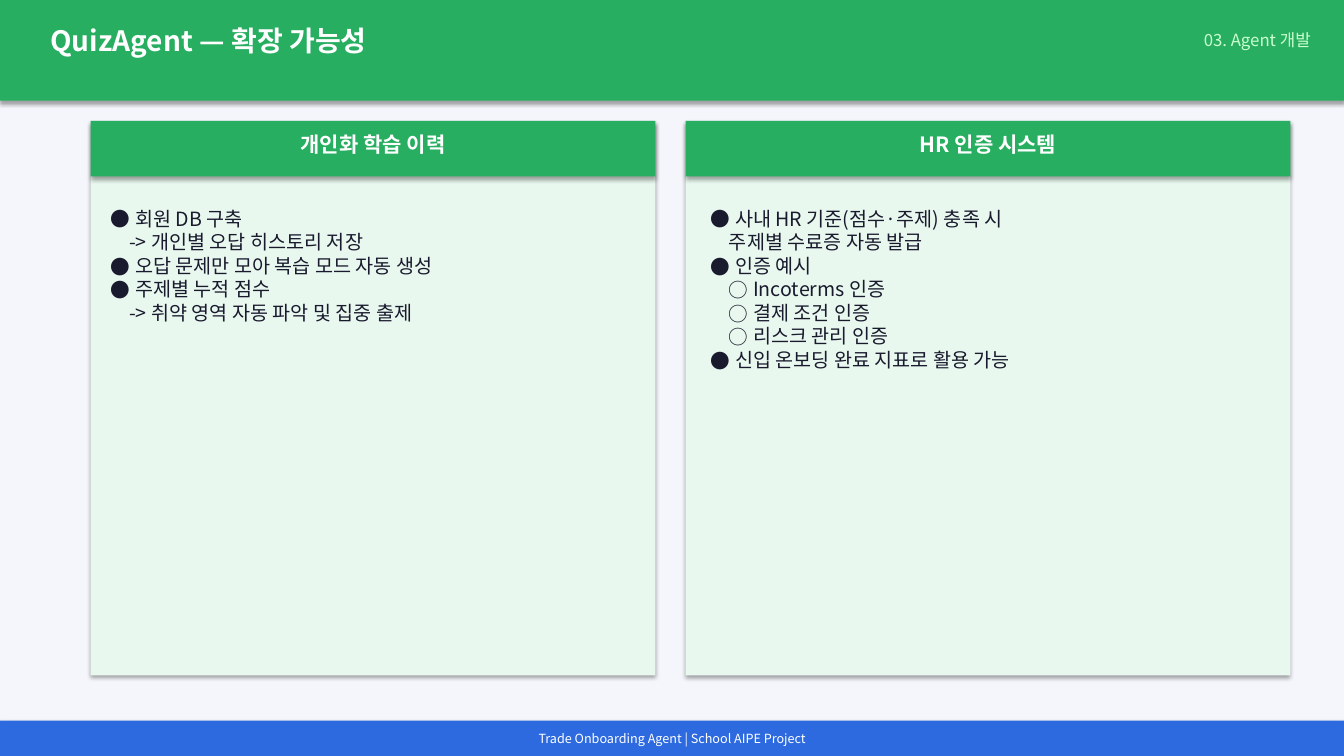
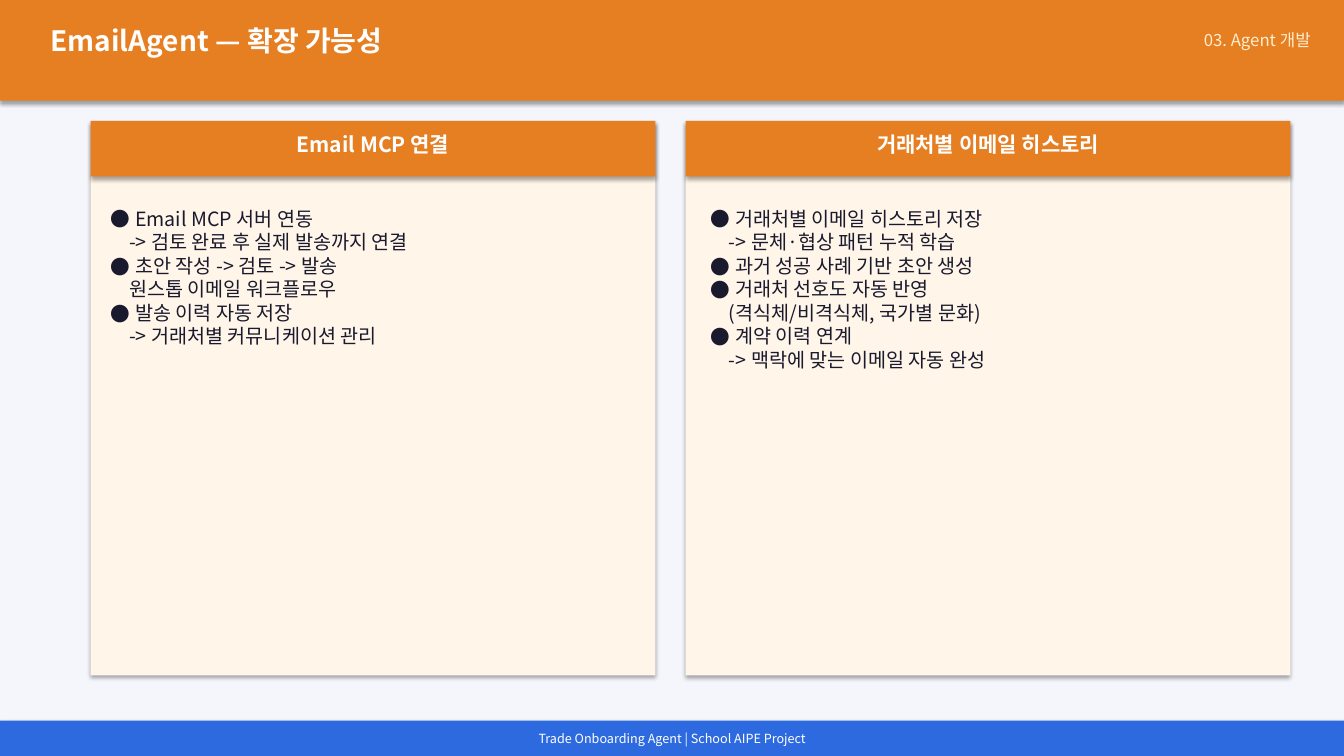
"""Build the two agent extension slides."""
import dataclasses
import typing

import pptx
import pptx.dml.color
import pptx.enum.shapes
import pptx.enum.text
import pptx.oxml.ns
import pptx.util
from lxml import etree

Inches = pptx.util.Inches
Align = pptx.enum.text.PP_ALIGN
WIDTH, HEIGHT = 13.33, 7.5


@dataclasses.dataclass(frozen=True)
class Theme:
    font: str = "Noto Sans CJK KR"
    background: str = "F4F6FB"
    footer: str = "2D6AE0"
    ink: str = "1A1A2E"
    white: str = "FFFFFF"
    title_size: int = 20
    header_size: int = 15
    body_size: int = 14
    section_size: int = 12
    footer_size: int = 9


@dataclasses.dataclass(frozen=True)
class Palette:
    accent: str
    card: str
    section: str


class Box(typing.NamedTuple):
    left: float
    top: float
    width: float
    height: float


class Marker(typing.NamedTuple):
    char: str
    margin: float
    hang: float
    level: int


class Column(typing.NamedTuple):
    left: float
    width: float
    inset: float
    header_idx: int
    body_idx: int


@dataclasses.dataclass(frozen=True)
class Card:
    header: str
    lines: list[tuple[Marker, str]]


@dataclasses.dataclass(frozen=True)
class Page:
    title: str
    palette: Palette
    cards: list[Card]


THEME = Theme()
GREEN = Palette("27AE60", "E8F8EE", "CCFFCC")
ORANGE = Palette("E67E22", "FFF5E8", "FFEECC")
DOT = Marker("●", 0.24, 0.24, 0)
RING = Marker("○", 0.42, 0.24, 1)
NOTE = Marker("", 0.18, 0, 1)
COLUMNS = [Column(0.9, 5.6, 0.1, 1, 2), Column(6.8, 6, 0.15, 3, 4)]
COMPARISON_LAYOUT = 4
SECTION = "03. Agent 개발"
FOOTER = "Trade Onboarding Agent | School AIPE Project"

PAGES = [
    Page("QuizAgent — 확장 가능성", GREEN, [
        Card("개인화 학습 이력", [
            (DOT, "회원 DB 구축"),
            (NOTE, "-> 개인별 오답 히스토리 저장"),
            (DOT, "오답 문제만 모아 복습 모드 자동 생성"),
            (DOT, "주제별 누적 점수"),
            (NOTE, "-> 취약 영역 자동 파악 및 집중 출제"),
        ]),
        Card("HR 인증 시스템", [
            (DOT, "사내 HR 기준(점수·주제) 충족 시"),
            (NOTE, "주제별 수료증 자동 발급"),
            (DOT, "인증 예시"),
            (RING, "Incoterms 인증"),
            (RING, "결제 조건 인증"),
            (RING, "리스크 관리 인증"),
            (DOT, "신입 온보딩 완료 지표로 활용 가능"),
        ]),
    ]),
    Page("EmailAgent — 확장 가능성", ORANGE, [
        Card("Email MCP 연결", [
            (DOT, "Email MCP 서버 연동"),
            (NOTE, "-> 검토 완료 후 실제 발송까지 연결"),
            (DOT, "초안 작성 -> 검토 -> 발송"),
            (NOTE, "원스톱 이메일 워크플로우"),
            (DOT, "발송 이력 자동 저장"),
            (NOTE, "-> 거래처별 커뮤니케이션 관리"),
        ]),
        Card("거래처별 이메일 히스토리", [
            (DOT, "거래처별 이메일 히스토리 저장"),
            (NOTE, "-> 문체·협상 패턴 누적 학습"),
            (DOT, "과거 성공 사례 기반 초안 생성"),
            (DOT, "거래처 선호도 자동 반영"),
            (NOTE, "(격식체/비격식체, 국가별 문화)"),
            (DOT, "계약 이력 연계"),
            (NOTE, "-> 맥락에 맞는 이메일 자동 완성"),
        ]),
    ]),
]


def rgb(color: str) -> pptx.dml.color.RGBColor:
    return pptx.dml.color.RGBColor.from_string(color)


def add_band(slide, box: Box, color: str) -> None:
    sp = slide.shapes.add_shape(
        pptx.enum.shapes.MSO_SHAPE.RECTANGLE, *map(Inches, box))
    sp.fill.solid()
    sp.fill.fore_color.rgb = rgb(color)
    sp.line.fill.background()


def format_paragraph(p, size: int, color: str, bold: bool = False,
                     align: Align = Align.LEFT) -> None:
    p.alignment = align
    p.space_before = pptx.util.Pt(0)
    for r in p.runs:
        r.font.name = THEME.font
        r.font.size = pptx.util.Pt(size)
        r.font.bold = bold
        r.font.color.rgb = rgb(color)


def set_marker(p, marker: Marker) -> None:
    p.level = marker.level
    pPr = p._p.get_or_add_pPr()
    pPr.set("marL", str(Inches(marker.margin)))
    pPr.set("indent", str(-Inches(marker.hang)))
    qn = pptx.oxml.ns.qn
    if marker.char:
        etree.SubElement(pPr, qn("a:buFont"), typeface=THEME.font)
        etree.SubElement(pPr, qn("a:buChar"), char=marker.char)
    else:
        etree.SubElement(pPr, qn("a:buNone"))


def place(sp, box: Box):
    sp.left, sp.top, sp.width, sp.height = map(Inches, box)
    tf = sp.text_frame
    tf.word_wrap = True
    tf.auto_size = pptx.enum.text.MSO_AUTO_SIZE.NONE
    tf.vertical_anchor = pptx.enum.text.MSO_ANCHOR.TOP
    return tf


def fill_placeholder(slide, idx: int, box: Box):
    sp = next(s for s in slide.placeholders if s.placeholder_format.idx == idx)
    slide.shapes._spTree.append(sp._element)
    return place(sp, box)


def add_label(slide, box: Box, text: str, size: int, color: str,
              align: Align) -> None:
    tf = place(slide.shapes.add_textbox(*map(Inches, box)), box)
    tf.text = text
    format_paragraph(tf.paragraphs[0], size, color, align=align)


def add_card(slide, column: Column, card: Card, palette: Palette) -> None:
    left, width = column.left, column.width
    add_band(slide, Box(left, 1.2, width, 5.5), palette.card)
    add_band(slide, Box(left, 1.2, width, 0.55), palette.accent)

    tf = fill_placeholder(slide, column.header_idx, Box(left, 1.25, width, 0.45))
    tf.text = card.header
    p = tf.paragraphs[0]
    set_marker(p, Marker("", 0, 0, 0))
    format_paragraph(p, THEME.header_size, THEME.white, True, Align.CENTER)

    tf = fill_placeholder(slide, column.body_idx,
                          Box(left + column.inset, 2, width - 0.3, 4.3))
    for i, (marker, text) in enumerate(card.lines):
        p = tf.add_paragraph() if i else tf.paragraphs[0]
        p.text = text
        set_marker(p, marker)
        format_paragraph(p, THEME.body_size, THEME.ink)


def add_page(prs, page: Page) -> None:
    slide = prs.slides.add_slide(prs.slide_layouts[COMPARISON_LAYOUT])
    add_band(slide, Box(0, 0, WIDTH, 1), page.palette.accent)
    tf = fill_placeholder(slide, 0, Box(0.4, 0.18, 10, 0.65))
    tf.text = page.title
    format_paragraph(tf.paragraphs[0], THEME.title_size, THEME.white, True)
    add_label(slide, Box(10.5, 0.25, 2.6, 0.5), SECTION,
              THEME.section_size, page.palette.section, Align.RIGHT)
    add_band(slide, Box(0, 7.15, WIDTH, 0.35), THEME.footer)
    add_label(slide, Box(0, 7.2, WIDTH, 0.28), FOOTER,
              THEME.footer_size, THEME.white, Align.CENTER)
    for column, card in zip(COLUMNS, page.cards):
        add_card(slide, column, card, page.palette)


def main() -> None:
    prs = pptx.Presentation()
    prs.slide_width, prs.slide_height = Inches(WIDTH), Inches(HEIGHT)
    fill = prs.slide_master.background.fill
    fill.solid()
    fill.fore_color.rgb = rgb(THEME.background)
    for page in PAGES:
        add_page(prs, page)
    prs.save("out.pptx")


if __name__ == "__main__":
    main()
